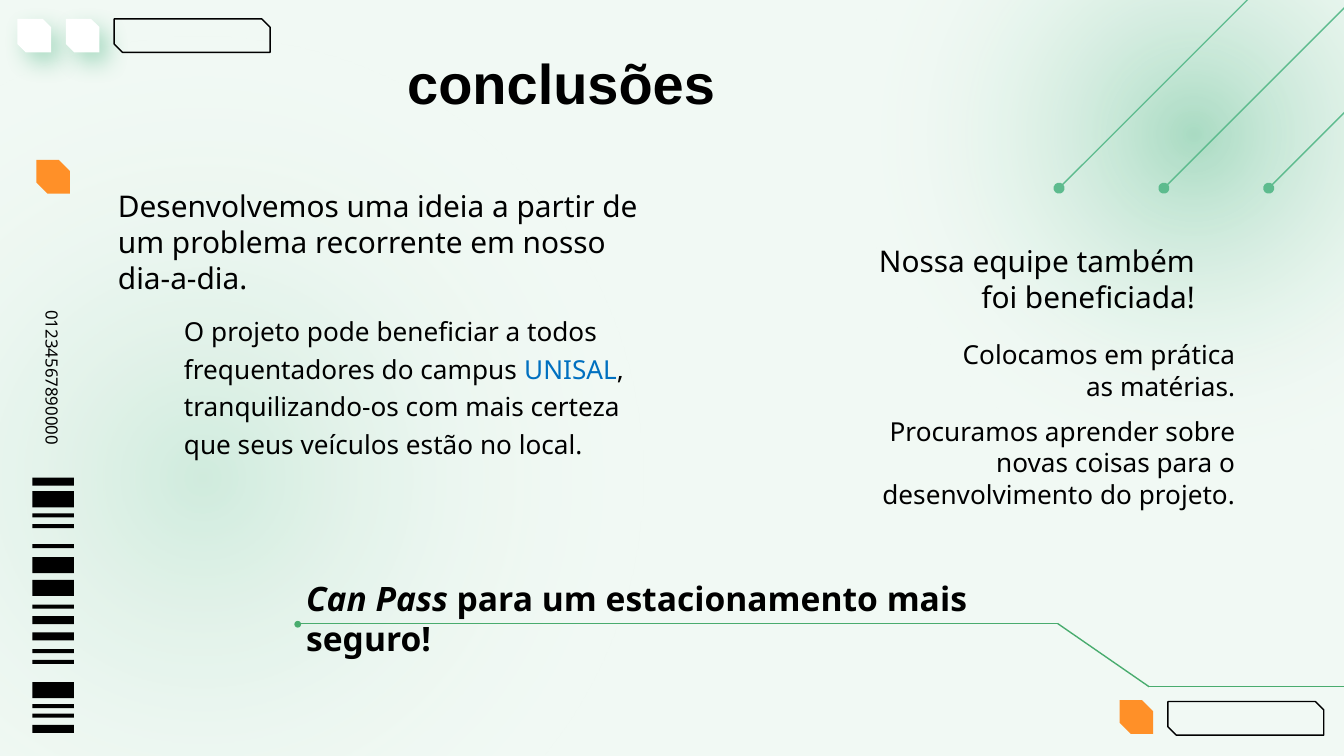
"""Build the closing slide on a grid of 100 columns by 56.25 rows."""
from dataclasses import dataclass
from typing import Any

from pptx import Presentation
from pptx.dml.color import RGBColor
from pptx.enum.shapes import MSO_CONNECTOR, MSO_SHAPE
from pptx.enum.text import MSO_ANCHOR, MSO_AUTO_SIZE, PP_ALIGN
from pptx.oxml import parse_xml
from pptx.oxml.ns import nsdecls
from pptx.util import Emu, Inches, Pt

SNIP, RECT, OVAL = MSO_SHAPE.SNIP_2_DIAG_RECTANGLE, MSO_SHAPE.RECTANGLE, MSO_SHAPE.OVAL
STRAIGHT = MSO_CONNECTOR.STRAIGHT
LEFT, RIGHT, MID = PP_ALIGN.LEFT, PP_ALIGN.RIGHT, PP_ALIGN.CENTER
TOP, CENTRE = MSO_ANCHOR.TOP, MSO_ANCHOR.MIDDLE
FIXED, GROW = MSO_AUTO_SIZE.NONE, MSO_AUTO_SIZE.SHAPE_TO_FIT_TEXT
COLS = 100
WIDE, HIGH = Inches(10), Inches(5.625)
SANS, HEAD = "Noto Sans", "Arial"
HUES = {"back": "F1F9F4", "mint": "5DBB8E", "leaf": "49AC6E", "sun": "FF9028",
        "ink": "000000", "blue": "0070C0", "white": "FFFFFF"}
Box = tuple[float, float, float, float]
Spot = tuple[float, float]


@dataclass
class Words:
    """A run of text with its colour and style."""
    text: str
    hue: str = "ink"
    bold: bool = False
    slant: bool = False


@dataclass
class Note:
    """A block of text placed on the grid."""
    box: Box
    size: float
    words: list[Words]
    align: Any = LEFT
    lead: float = 1.2


NOTES = [
    Note((7.8, 13.5, 41.4, 9.1), 16, [
        Words("Desenvolvemos uma ideia a partir de um problema recorrente em nosso dia-a-dia.")]),
    Note((12.7, 22.5, 36.1, 14.9), 14, [
        Words("O projeto pode beneficiar a todos frequentadores do campus "),
        Words("UNISAL", "blue"),
        Words(", tranquilizando-os com mais certeza que seus veículos estão no local.")], lead=1.44),
    Note((61.5, 17.6, 28.4, 6.4), 16, [Words("Nossa equipe também foi beneficiada!")], RIGHT),
    Note((69.7, 24.7, 23.2, 5.7), 14, [Words("Colocamos em prática as matérias.")], RIGHT),
    Note((63.5, 30.4, 29.4, 8.1), 14, [
        Words("Procuramos aprender sobre novas coisas para o desenvolvimento do projeto.")], RIGHT),
    Note((21.8, 42.5, 58.2, 4), 18, [
        Words("Can Pass ", bold=True, slant=True),
        Words("para um estacionamento mais seguro!", bold=True)]),
]
GLOWS = [((-17.9, 2.6, 65.9, 65.9), 22), ((63.7, -15.1, 50.1, 50.1), 48)]
BARS = [(34.3, 0.6), (35.6, 1.2), (36.8, 0.3), (37.6, 0.3), (39.1, 0.3), (40.5, 1.2),
        (42.2, 1.2), (43.6, 0.3), (44.6, 0.6), (45.8, 0.6), (46.9, 0.3), (47.7, 0.3),
        (49.8, 1.2), (51, 0.3), (51.7, 0.3), (52.7, 0.6)]
TRACK = [(22.2, 46.4), (78.7, 46.4), (85.5, 51.1), (100.3, 51.1)]


def cell(count: float) -> Emu:
    """Turn grid cells into a length."""
    return Emu(round(WIDE * count / COLS))


def tint(name: str) -> RGBColor:
    """Look up a named colour."""
    return RGBColor.from_string(HUES[name])


def apply(item: Any, form: dict[str, Any]) -> None:
    """Set each format value on an object."""
    for key, value in form.items():
        setattr(item, key, value)


def draw(shapes: Any, kind: Any, box: Box, fill: str = "", snip: float = 0, turn: float = 0) -> Any:
    """Add a filled shape, or an outlined one when no fill is named."""
    shape = shapes.add_shape(kind, *map(cell, box))
    apply(shape, {"rotation": turn})
    shape.shadow.inherit = False
    if snip:
        shape.adjustments[0], shape.adjustments[1] = 0, snip
    if fill:
        shape.fill.solid()
        shape.fill.fore_color.rgb = tint(fill)
        shape.line.fill.background()
    else:
        shape.fill.background()
        shape.line.color.rgb = tint("ink")
        shape.line.width = Pt(0.75)
    return shape


def glow(shapes: Any, box: Box, alpha: int) -> None:
    """Add a round glow that fades out from its centre."""
    shape = draw(shapes, OVAL, box, "white")
    stops = "".join(
        f'<a:gs pos="{pos}000"><a:srgbClr val="{HUES[hue]}"><a:alpha val="{share}000"/></a:srgbClr></a:gs>'
        for pos, hue, share in [(0, "mint", alpha), (71, "white", 0), (100, "white", 0)])
    fade = parse_xml(
        f'<a:gradFill {nsdecls("a")} rotWithShape="0"><a:gsLst>{stops}</a:gsLst><a:path path="circle">'
        '<a:fillToRect l="50000" t="50000" r="50000" b="50000"/></a:path></a:gradFill>')
    props = shape._element.spPr
    props.replace(props.find("{*}solidFill"), fade)


def shade(shape: Any) -> None:
    """Give a shape a soft green shadow."""
    shape._element.spPr.find("{*}effectLst").append(parse_xml(
        f'<a:outerShdw {nsdecls("a")} blurRad="{Pt(12.4)}" dist="{Pt(6.8)}" dir="{49 * 60000}"'
        ' algn="ctr" rotWithShape="0">'
        f'<a:srgbClr val="{HUES["mint"]}"><a:alpha val="47000"/></a:srgbClr></a:outerShdw>'))


def link(shapes: Any, start: Spot, end: Spot, hue: str, dot: bool = False) -> None:
    """Join two spots with a thin line, with a dot at the end if asked."""
    line = shapes.add_connector(STRAIGHT, *map(cell, start + end))
    line.line.color.rgb = tint(hue)
    line.line.width = Pt(0.75)
    props = line._element.spPr
    if dot:
        props.find("{*}ln").append(parse_xml(f'<a:tailEnd {nsdecls("a")} type="oval"/>'))
    props.append(parse_xml(f'<a:effectLst {nsdecls("a")}/>'))


def write(shape: Any, note: Note, face: str, form: dict[str, Any]) -> None:
    """Place a text shape and fill it with styled runs."""
    apply(shape, dict(zip(("left", "top", "width", "height"), map(cell, note.box))))
    frame = shape.text_frame
    apply(frame, {"word_wrap": True, "vertical_anchor": TOP, **form})
    para = frame.paragraphs[0]
    apply(para, {"alignment": note.align, "line_spacing": Pt(round(note.size * note.lead, 1))})
    for words in note.words:
        run = para.add_run()
        run.text = words.text
        apply(run.font, {"name": face, "size": Pt(note.size), "bold": words.bold, "italic": words.slant})
        run.font.color.rgb = tint(words.hue)


def main() -> None:
    """Build and save the slide."""
    deck = Presentation()
    apply(deck, {"slide_width": WIDE, "slide_height": HIGH})
    slide = deck.slides.add_slide(deck.slide_layouts[5])
    slide.background.fill.solid()
    slide.background.fill.fore_color.rgb = tint("back")
    shapes = slide.shapes
    inset = {f"margin_{side}": cell(1) for side in ("left", "top", "right", "bottom")}

    for box, alpha in GLOWS:
        glow(shapes, box, alpha)
    for step in range(3):
        left = 78.8 + 7.8 * step
        link(shapes, (left + 14.7, -0.7), (left, 14), "mint", True)
    for left in (1.3, 4.9):
        shade(draw(shapes, SNIP, (left, 1.4, 2.5, 2.5), "white", 0.25))
    for left, top in [(8.5, 1.4), (86.9, 52.2)]:
        draw(shapes, SNIP, (left, top, 11.6, 2.5), snip=0.25)
    for top, thick in BARS:
        draw(shapes, RECT, (3.95 - thick / 2, top, thick, 3.1), "ink", turn=90)
    code = shapes.add_textbox(0, 0, 0, 0)
    code.rotation = 90
    write(code, Note((-2.7, 27, 13.2, 2.2), 9, [Words("01234567890000")], MID), SANS,
          {**inset, "vertical_anchor": CENTRE, "auto_size": FIXED})
    for left, top in [(83.3, 52.1), (2.7, 11.9)]:
        draw(shapes, SNIP, (left, top, 2.5, 2.5), "sun", 0.33)

    title = shapes.title
    shapes._spTree.append(title._element)
    write(title, Note((29.3, 2.8, 41.4, 7), 30, [Words("conclusões", bold=True)], lead=1.15), HEAD,
          {**inset, "auto_size": FIXED})
    for note in NOTES:
        write(shapes.add_textbox(0, 0, 0, 0), note, SANS, {"auto_size": GROW})
    for start, end in zip(TRACK, TRACK[1:]):
        link(shapes, start, end, "leaf")
    draw(shapes, OVAL, (21.9, 46.2, 0.5, 0.5), "leaf")
    deck.save("out.pptx")


if __name__ == "__main__":
    main()
